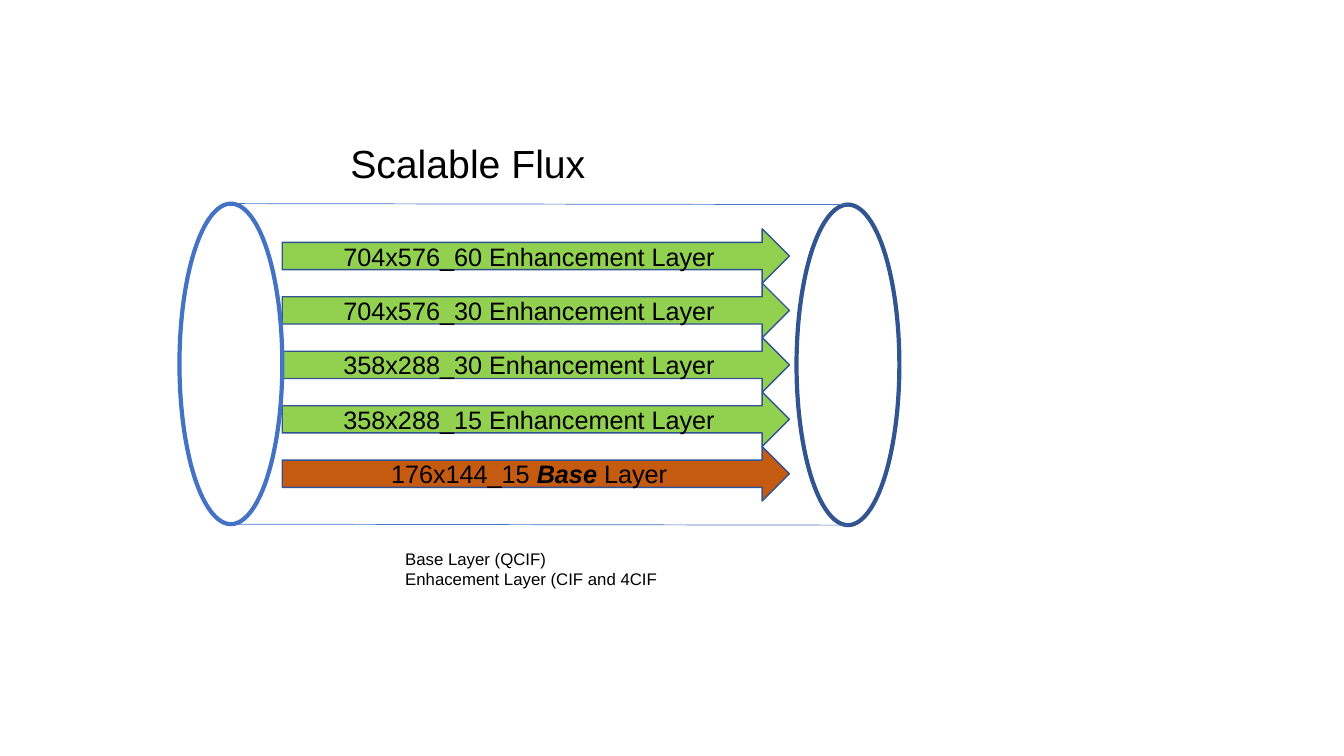
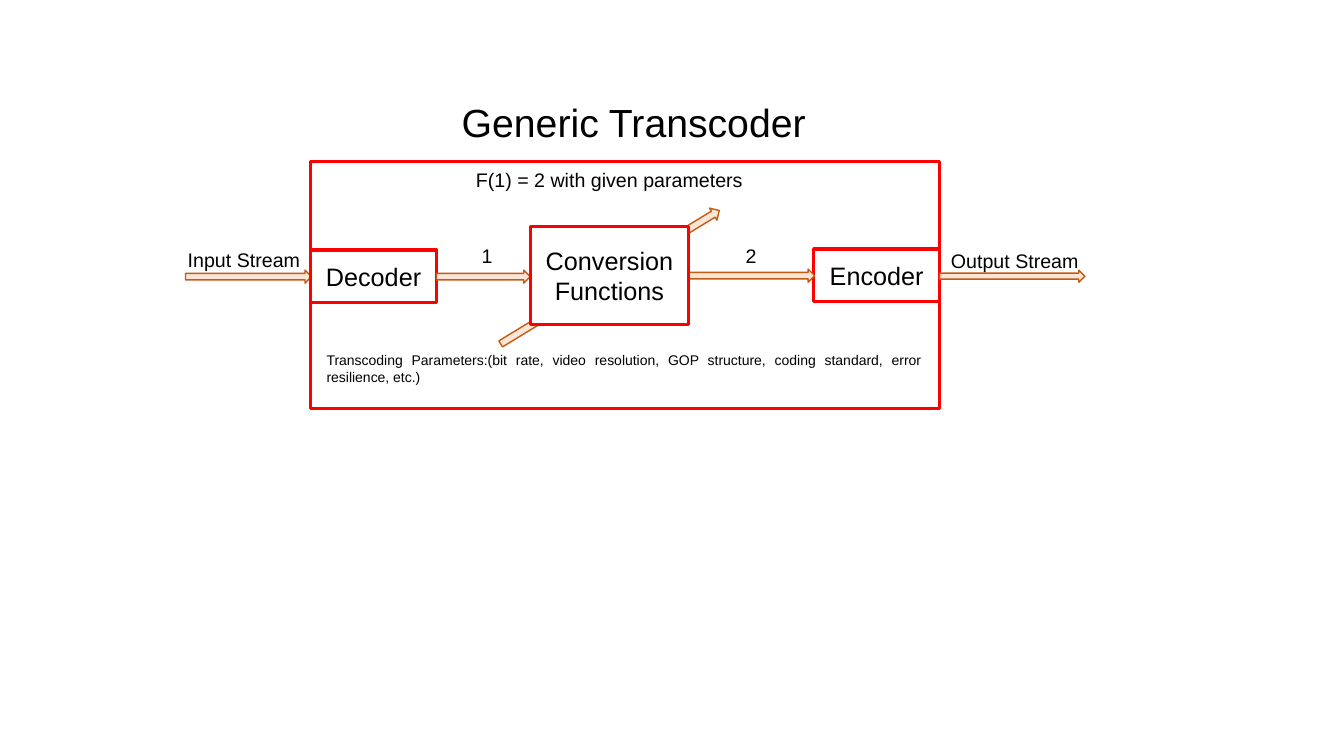
from dataclasses import dataclass

from lxml import etree
from pptx import Presentation
from pptx.dml.color import RGBColor
from pptx.enum.shapes import MSO_CONNECTOR, MSO_SHAPE
from pptx.enum.text import MSO_ANCHOR, MSO_AUTO_SIZE, PP_ALIGN
from pptx.oxml.ns import qn
from pptx.util import Inches, Pt

ARROW, OVAL, BOX = MSO_SHAPE.RIGHT_ARROW, MSO_SHAPE.OVAL, MSO_SHAPE.RECTANGLE
STRAIGHT = MSO_CONNECTOR.STRAIGHT
MIDDLE, TOP = MSO_ANCHOR.MIDDLE, MSO_ANCHOR.TOP
GROW = MSO_AUTO_SIZE.SHAPE_TO_FIT_TEXT
LEFT, CENTER, JUSTIFY = PP_ALIGN.LEFT, PP_ALIGN.CENTER, PP_ALIGN.JUSTIFY


@dataclass(frozen=True)
class Theme:
    font: str = "Arial"
    ink: str = "000000"
    white: str = "FFFFFF"
    blue: str = "4472C4"
    navy: str = "325491"
    green: str = "92D050"
    rust: str = "C55A11"
    peach: str = "FBE5D6"
    red: str = "FF0000"
    title: int = 28
    body: int = 18
    label: int = 14
    note: int = 12
    small: int = 10


THEME = Theme()


def apply(target, values):
    for name, value in values.items():
        setattr(target, name, value)


class Deck:
    def __init__(self, theme):
        self.theme = theme
        self.prs = Presentation()
        apply(self.prs, {"slide_width": Inches(13.33), "slide_height": Inches(7.5)})
        self.slide = None

    def new_slide(self):
        self.slide = self.prs.slides.add_slide(self.prs.slide_layouts[6])

    def outline(self, line, color, width):
        line.color.rgb = RGBColor.from_string(color)
        line.width = Pt(width)

    def fill_text(self, frame, text, size, align):
        for index, content in enumerate(text.split("\n")):
            paragraph = frame.paragraphs[0] if index == 0 else frame.add_paragraph()
            paragraph.alignment = align
            for part, piece in enumerate(content.split("*")):
                run = paragraph.add_run()
                run.text = piece
                strong = part % 2 == 1
                apply(run.font, {"name": self.theme.font, "size": Pt(size),
                                 "bold": strong, "italic": strong})
                run.font.color.rgb = RGBColor.from_string(self.theme.ink)

    def shape(self, kind, at, line, width, fill=None, text=None, rotation=0):
        shape = self.slide.shapes.add_shape(kind, *map(Inches, at))
        shape.shadow.inherit = False
        shape.rotation = rotation
        self.outline(shape.line, line, width)
        if fill:
            shape.fill.solid()
            shape.fill.fore_color.rgb = RGBColor.from_string(fill)
        else:
            shape.fill.background()
        if text:
            apply(shape.text_frame, {"word_wrap": True, "vertical_anchor": MIDDLE})
            self.fill_text(shape.text_frame, text, self.theme.body, CENTER)

    def stream(self, at, rotation=0):
        self.shape(ARROW, at, self.theme.rust, 1, self.theme.peach, rotation=rotation)

    def stage(self, at, text=None, fill=None):
        self.shape(BOX, at, self.theme.red, 2.25, fill, text)

    def line(self, start, end, color, width):
        line = self.slide.shapes.add_connector(STRAIGHT, *map(Inches, start + end))
        self.outline(line.line, color, width)
        etree.SubElement(line._element.spPr, qn("a:effectLst"))

    def text(self, at, text, size, align=CENTER, wrap=True):
        frame = self.slide.shapes.add_textbox(*map(Inches, at)).text_frame
        apply(frame, {"word_wrap": wrap, "auto_size": GROW, "vertical_anchor": TOP})
        self.fill_text(frame, text, size, align)

    def title(self, at, text):
        self.text(at, text, self.theme.title, wrap=False)


def scalable_flux(deck):
    deck.new_slide()
    layers = ["704x576_60 Enhancement Layer", "704x576_30 Enhancement Layer",
              "358x288_30 Enhancement Layer", "358x288_15 Enhancement Layer",
              "176x144_15 *Base *Layer"]
    height = 0.54
    for row, layer in reversed(list(enumerate(layers))):
        fill = THEME.rust if "Base" in layer else THEME.green
        deck.shape(ARROW, (2.8, 2.27 + row * height, 5.03, height),
                   THEME.navy, 1, fill, layer)
    for left, top, color in ((1.78, 2.02, THEME.blue), (7.9, 2.03, THEME.navy)):
        deck.shape(OVAL, (left, top, 1.02, 3.18), color, 3)
    for edge in (2.02, 5.2):
        deck.line((2.29, edge), (8.41, edge + 0.01), THEME.blue, 0.5)
    deck.title((3.36, 1.33, 2.56, 0.57), "Scalable Flux")
    deck.text((3.92, 5.39, 2.85, 0.71),
              "Base Layer (QCIF)\nEnhacement Layer (CIF and 4CIF", THEME.note, LEFT)


def generic_transcoder(deck):
    deck.new_slide()
    deck.stream((4.78, 2.68, 2.54, 0.14), 328.6)
    deck.stage((3.08, 2.48, 1.25, 0.52), "Decoder")
    deck.stage((8.07, 2.47, 1.25, 0.52), "Encoder")
    for left, top, width in ((1.84, 2.68, 1.25), (4.33, 2.68, 0.93), (6.83, 2.67, 1.25)):
        deck.stream((left, top, width, 0.13))
    deck.stage((3.08, 1.6, 6.24, 2.45))
    deck.stage((5.26, 2.25, 1.57, 0.97), "Conversion Functions", THEME.white)
    deck.stream((9.32, 2.68, 1.44, 0.12))
    deck.title((4.4, 0.93, 3.77, 0.57), "Generic Transcoder")
    labels = [("Input Stream", 1.76, 2.41, 1.32), ("Output Stream", 9.24, 2.42, 1.65),
              ("1", 4.17, 2.37, 1.32), ("2", 6.79, 2.37, 1.32),
              ("F(1) = 2 with given parameters", 4.6, 1.62, 2.89)]
    for label, left, top, width in labels:
        deck.text((left, top, width, 0.34), label, THEME.label)
    deck.text((3.14, 3.44, 6.09, 0.44),
              "Transcoding Parameters:(bit rate, video resolution, GOP structure, "
              "coding standard, error resilience, etc.)", THEME.small, JUSTIFY)


deck = Deck(THEME)
scalable_flux(deck)
generic_transcoder(deck)
deck.prs.save("out.pptx")
